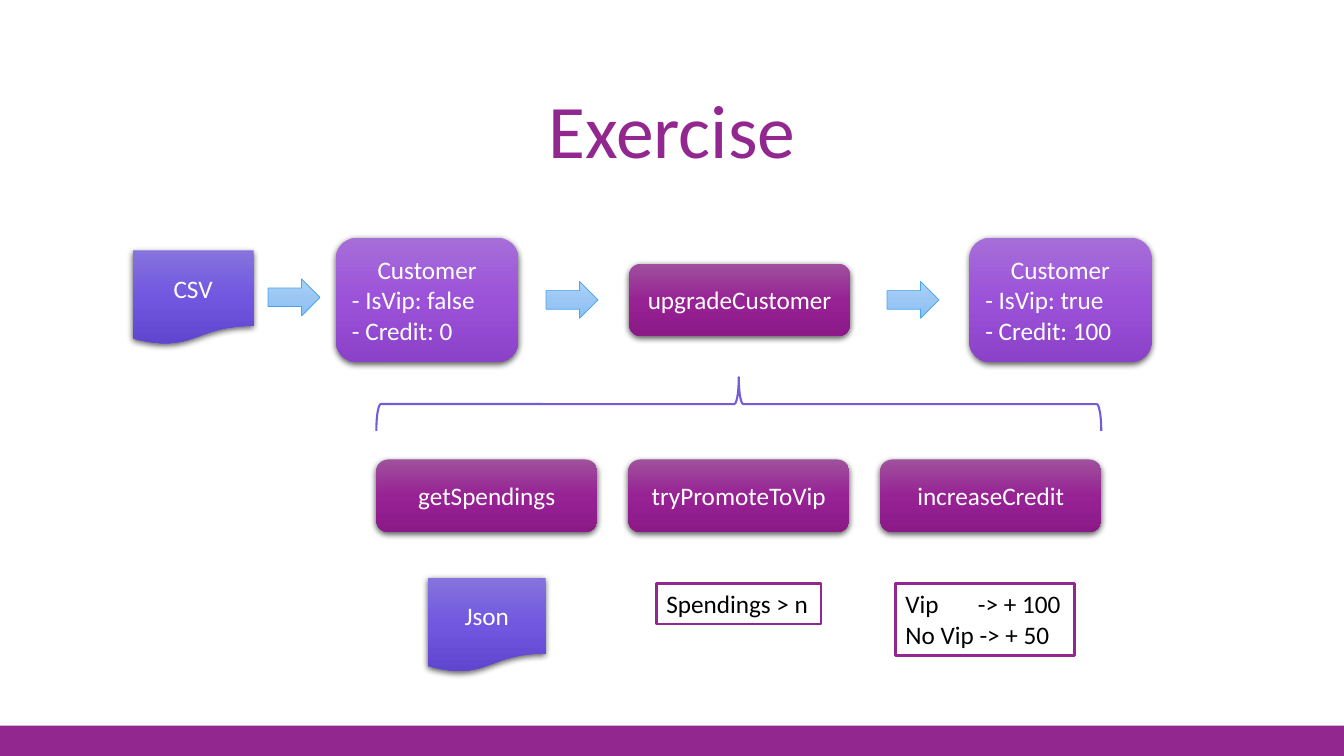
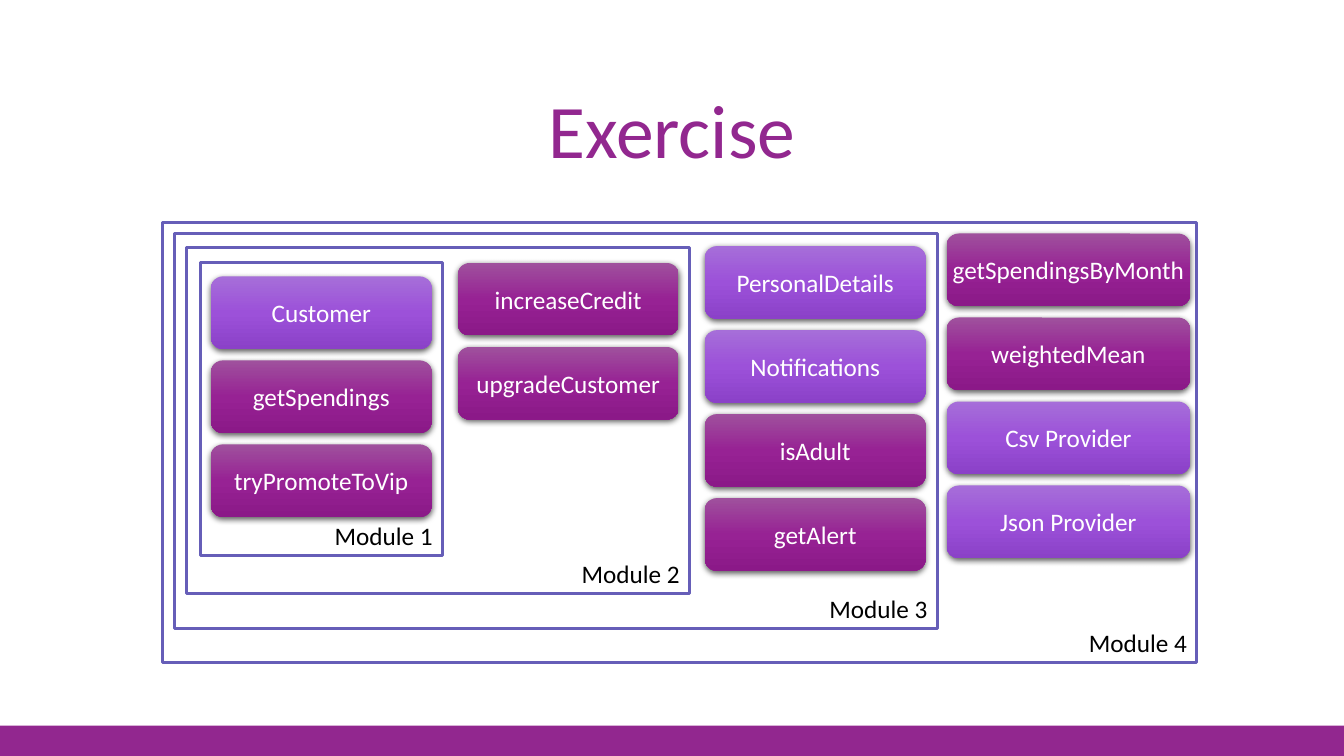
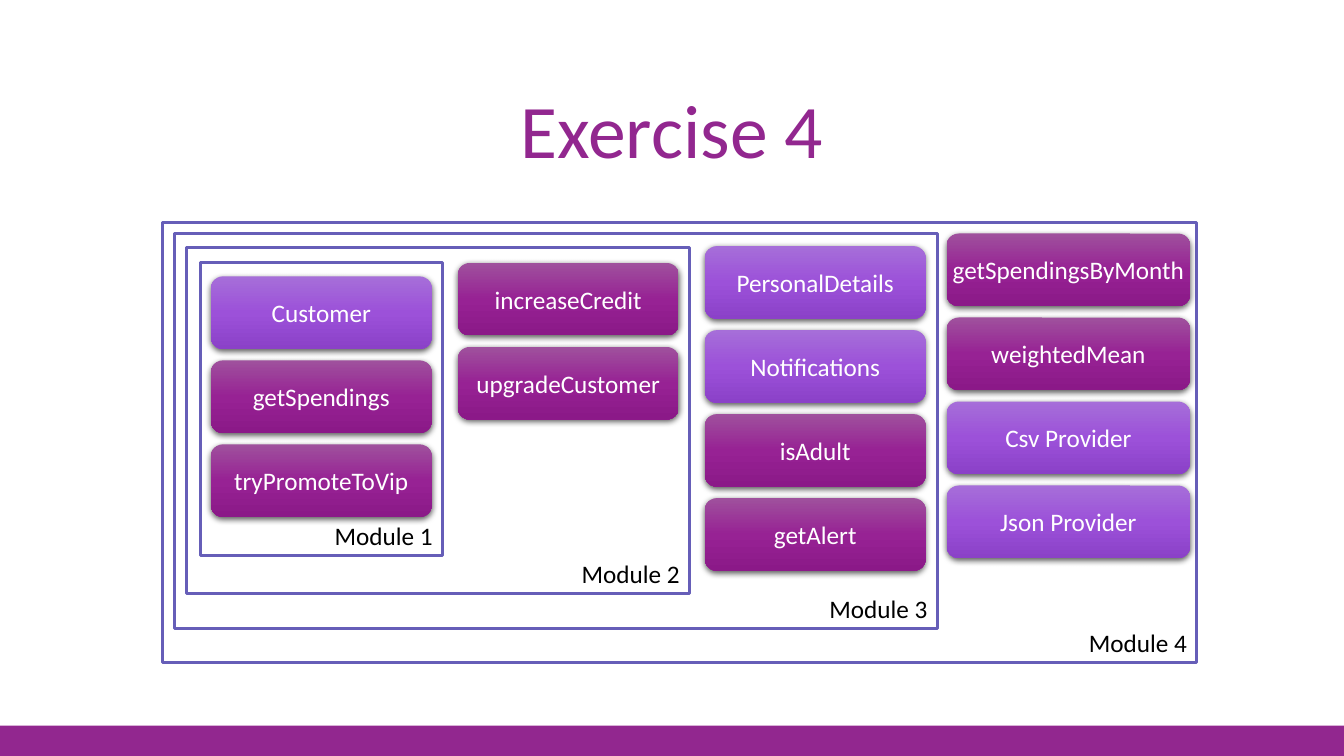
from copy import deepcopy
from dataclasses import dataclass

from lxml import etree
from pptx import Presentation
from pptx import util as u
from pptx.dml.color import RGBColor
from pptx.enum import shapes, text
from pptx.oxml.ns import qn

KIND = shapes.MSO_SHAPE
ALIGN = text.PP_ALIGN
ANCHOR = text.MSO_ANCHOR
COLS, ROWS = 160, 90
WIDE, HIGH = 12192000, 6858000


@dataclass(frozen=True)
class Theme:
    font: str = "Calibri"
    head: int = 54
    body: int = 18
    main: str = "92278F"
    ink: str = "000000"
    pale: str = "FFFFFF"
    frame: str = "665EB8"
    brace: str = "755DD9"
    edge: str = "45A5ED"
    data: tuple = ("A66ED9", "9C51D9", "8B41C8")
    func: tuple = ("9F519D", "972294", "8B1988")
    file: tuple = ("8673DE", "7157DF", "6046CE")
    arrow: tuple = ("ABD0F7", "9CC7F5", "89C0F7")


@dataclass(frozen=True)
class Box:
    """Place and size in cells of the slide grid."""
    x: float
    y: float
    w: float
    h: float

    def cut(self, x, y, w, h):
        return Box(self.x + x, self.y + y, w, h)

    def mid(self, x, w, h, lift=0):
        return self.cut(x, (self.h - h) / 2 - lift, w, h)

    def emu(self):
        cw, ch = WIDE / COLS, HIGH / ROWS
        return [round(v) for v in (self.x * cw, self.y * ch, self.w * cw, self.h * ch)]


T = Theme()
CARD_W, CARD_H = 26.3, 8.64
PITCH = 10


# Basic parts
def rgb(code):
    return RGBColor.from_string(code)


def blend(shape, tints):
    fill = shape.fill
    fill.gradient()
    fill.gradient_angle = 270
    stops = shape._element.spPr.find(".//" + qn("a:gsLst"))
    stops.insert(1, deepcopy(stops[0]))
    for stop, tint, pos in zip(fill.gradient_stops, tints, (0, 0.5, 1)):
        stop.color.rgb = rgb(tint)
        stop.position = pos


def shade(shape):
    effects = shape._element.spPr.find(qn("a:effectLst"))
    drop = etree.SubElement(effects, qn("a:outerShdw"), blurRad="57150",
                            dist="19050", dir="5400000", algn="ctr", rotWithShape="0")
    tone = etree.SubElement(drop, qn("a:srgbClr"), val=T.ink)
    etree.SubElement(tone, qn("a:alpha"), val="63000")


def draw(area, kind, box, fill=None, line=None, width=2):
    shape = area.add_shape(kind, *box.emu())
    shape.shadow.inherit = False
    if isinstance(fill, tuple):
        blend(shape, fill)
    elif fill:
        shape.fill.solid()
        shape.fill.fore_color.rgb = rgb(fill)
    else:
        shape.fill.background()
    if line:
        shape.line.color.rgb = rgb(line)
        shape.line.width = u.Pt(width)
    else:
        shape.line.fill.background()
    return shape


def write(shape, lines, color=T.pale, size=T.body, align=ALIGN.CENTER,
          anchor=ANCHOR.MIDDLE):
    frame = shape.text_frame
    frame.word_wrap = True
    frame.vertical_anchor = anchor
    for i, line in enumerate(lines):
        para = frame.add_paragraph() if i else frame.paragraphs[0]
        para.alignment = align
        run = para.add_run()
        run.text = line
        run.font.name = T.font
        run.font.size = u.Pt(size)
        run.font.color.rgb = rgb(color)
    return frame


def block(area, kind, box, tints, lines):
    shape = draw(area, kind, box, tints)
    shade(shape)
    return write(shape, lines)


def card(area, box, label):
    # Types start with a capital, functions do not
    tints = T.data if label[0].isupper() else T.func
    frame = block(area, KIND.ROUNDED_RECTANGLE, box, tints, [label])
    frame.margin_left = frame.margin_right = 0


def record(area, box, lines):
    frame = block(area, KIND.ROUNDED_RECTANGLE, box, T.data, lines)
    for para in frame.paragraphs[1:]:
        para.alignment = ALIGN.LEFT


def paper(area, box, label):
    block(area, KIND.FLOWCHART_DOCUMENT, box, T.file, [label])


def note(area, box, lines):
    frame = write(draw(area, KIND.RECTANGLE, box, line=T.main), lines, T.ink,
                  align=ALIGN.LEFT, anchor=ANCHOR.TOP)
    frame.word_wrap = False
    frame.auto_size = text.MSO_AUTO_SIZE.SHAPE_TO_FIT_TEXT
    return frame


def tab(para, pos):
    tabs = etree.SubElement(para._p.get_or_add_pPr(), qn("a:tabLst"))
    etree.SubElement(tabs, qn("a:tab"), pos=str(u.Inches(pos)), algn="l")


# Title and bottom band of every slide
def base(deck, title):
    area = deck.slides.add_slide(deck.slide_layouts[6]).shapes
    draw(area, KIND.RECTANGLE, Box(0, 86.4, COLS, 3.6), T.main)
    head = area.add_textbox(*Box(17.6, 5.2, 124.8, 16.2).emu())
    frame = write(head, [title], T.main, T.head, anchor=ANCHOR.BOTTOM)
    frame.paragraphs[0].line_spacing = 0.9
    return area


# Top row: from file to upgraded customer
def flow(area, box):
    paper(area, box.mid(0, 14.4, 11.2, 0.3), "CSV")
    for x, state, credit in ((24.2, "false", 0), (99.6, "true", 100)):
        record(area, box.mid(x, 21.7, 14.8),
               ["Customer", f"- IsVip: {state}", f"- Credit: {credit}"])
    card(area, box.mid(59.1, CARD_W, CARD_H), "upgradeCustomer")
    for x, lift in ((16.1, 0.3), (49.2, 0), (89.8, 0)):
        draw(area, KIND.RIGHT_ARROW, box.mid(x, 6.2, 4.4, lift), T.arrow, T.edge, 0.5)


# Brace, the three steps and what each one uses
def steps(area, box):
    span, deep = box.w, 6.4
    brace = draw(area, KIND.RIGHT_BRACE,
                 box.cut((span - deep) / 2, (deep - span) / 2, deep, span),
                 line=T.brace, width=1.5)
    brace.rotation = 270
    gap = (span - CARD_W) / 2
    for i, label in enumerate(("getSpendings", "tryPromoteToVip", "increaseCredit")):
        card(area, box.cut(i * gap, 9.8, CARD_W, CARD_H), label)

    def under(i, y, w, h, shift=0):
        return box.cut(i * gap + (CARD_W - w) / 2 + shift, y, w, h)

    paper(area, under(0, 23.9, 14, 11.2), "Json")
    note(area, under(1, 24.6, 19.6, 4.8), ["Spendings > n"])
    frame = note(area, under(2, 24.6, 21.3, 8.5, -0.7),
                 ["Vip\t-> + 100", "No Vip -> + 50"])
    tab(frame.paragraphs[0], 0.72)


# One module: a frame with a column of cards along its right side
def module(area, box, name, labels, top, side=1.3, wide=CARD_W):
    group = area.add_group_shape().shapes
    write(draw(group, KIND.RECTANGLE, box, line=T.frame), [name], T.ink,
          align=ALIGN.RIGHT, anchor=ANCHOR.BOTTOM)
    for i, label in enumerate(labels):
        card(group, box.cut(box.w - side - wide, top + i * PITCH, wide, CARD_H), label)


# Four modules, each inside the next
def nest(area, box):
    module(area, box, "Module 4",
           ("getSpendingsByMonth", "weightedMean", "Csv Provider", "Json Provider"),
           1.3, 0.8, 29)
    module(area, box.cut(1.4, 1.3, 90.8, 47), "Module 3",
           ("PersonalDetails", "Notifications", "isAdult", "getAlert"), 1.5, 1.4)
    module(area, box.cut(2.8, 3, 59.9, 41.2), "Module 2",
           ("increaseCredit", "upgradeCustomer"), 1.8)
    module(area, box.cut(4.5, 4.8, 28.8, 34.8), "Module 1",
           ("Customer", "getSpendings", "tryPromoteToVip"), 1.6)


deck = Presentation()
deck.slide_width, deck.slide_height = WIDE, HIGH

area = base(deck, "Exercise")
flow(area, Box(15.8, 28.3, 121.3, 14.8))
steps(area, Box(44.8, 44.9, 86.3, 35.1))

for title in ("Exercise", "Exercise 4"):
    nest(base(deck, title), Box(19.4, 26.5, 123.1, 52.4))

deck.save("out.pptx")
